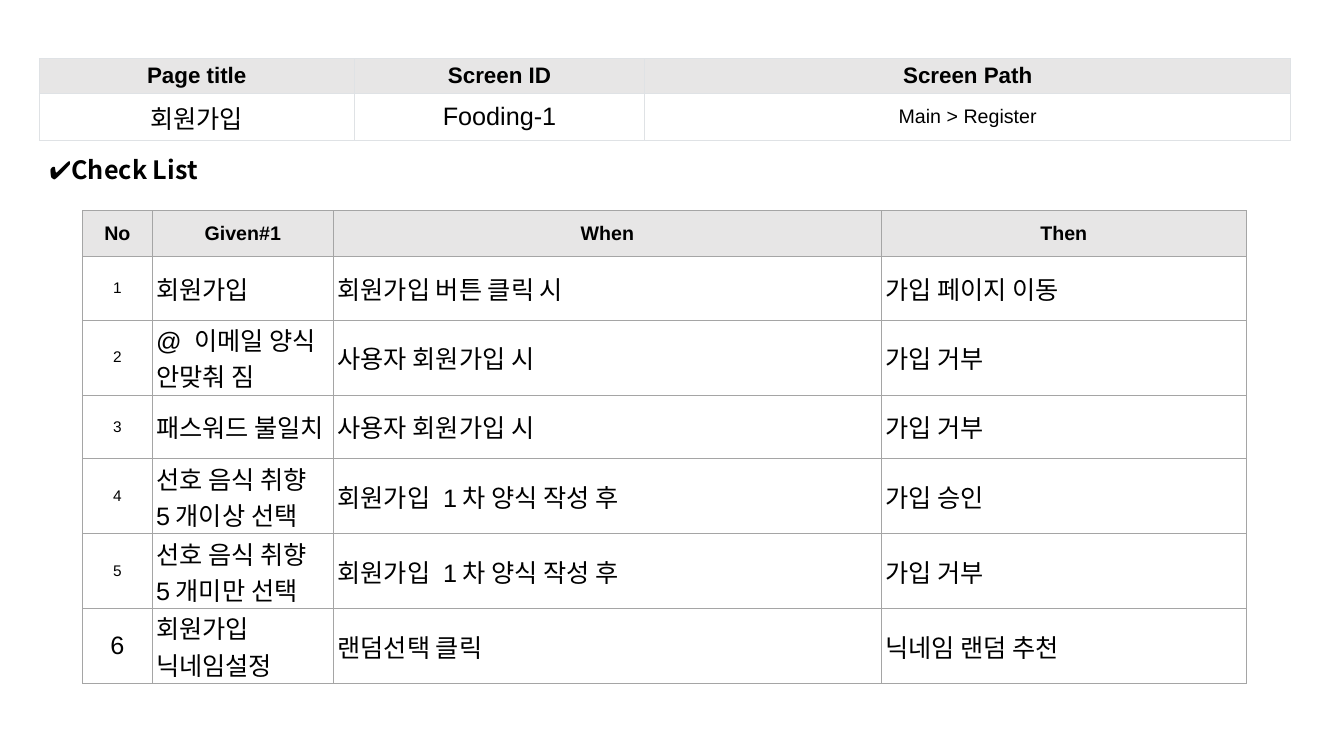
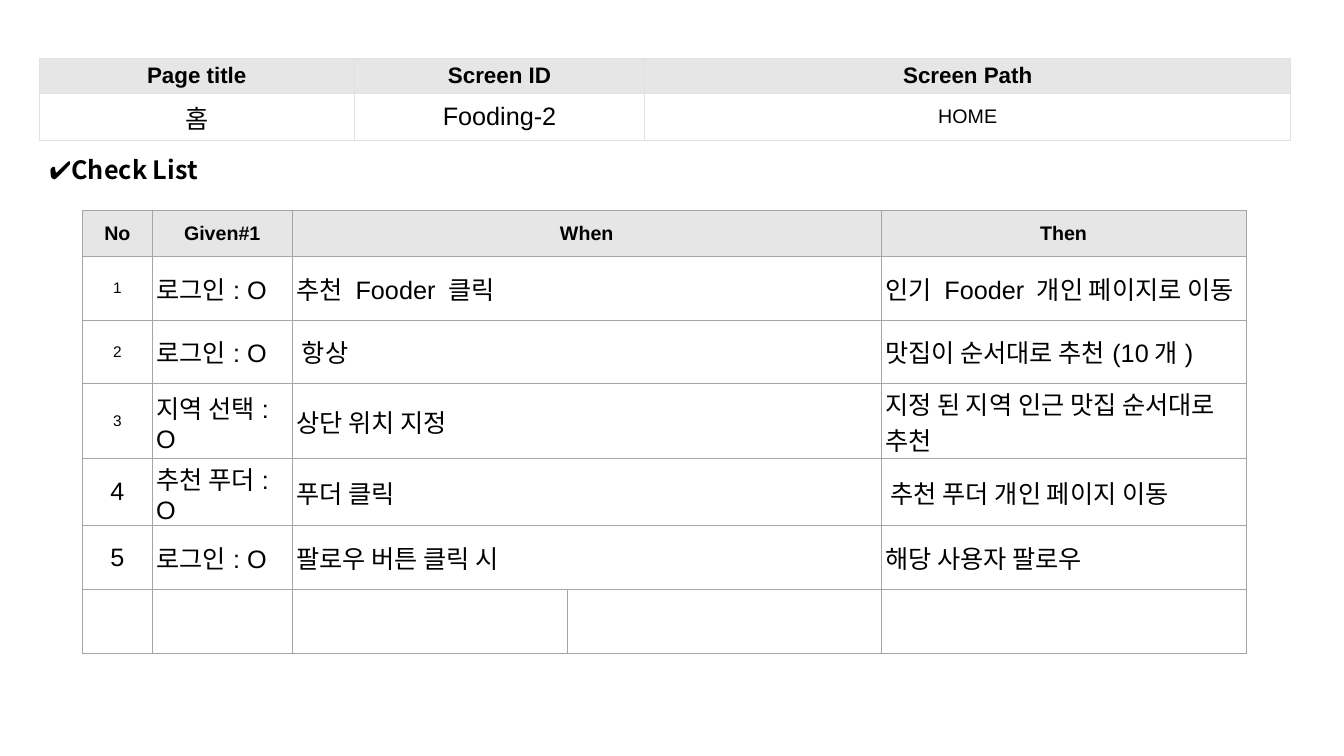
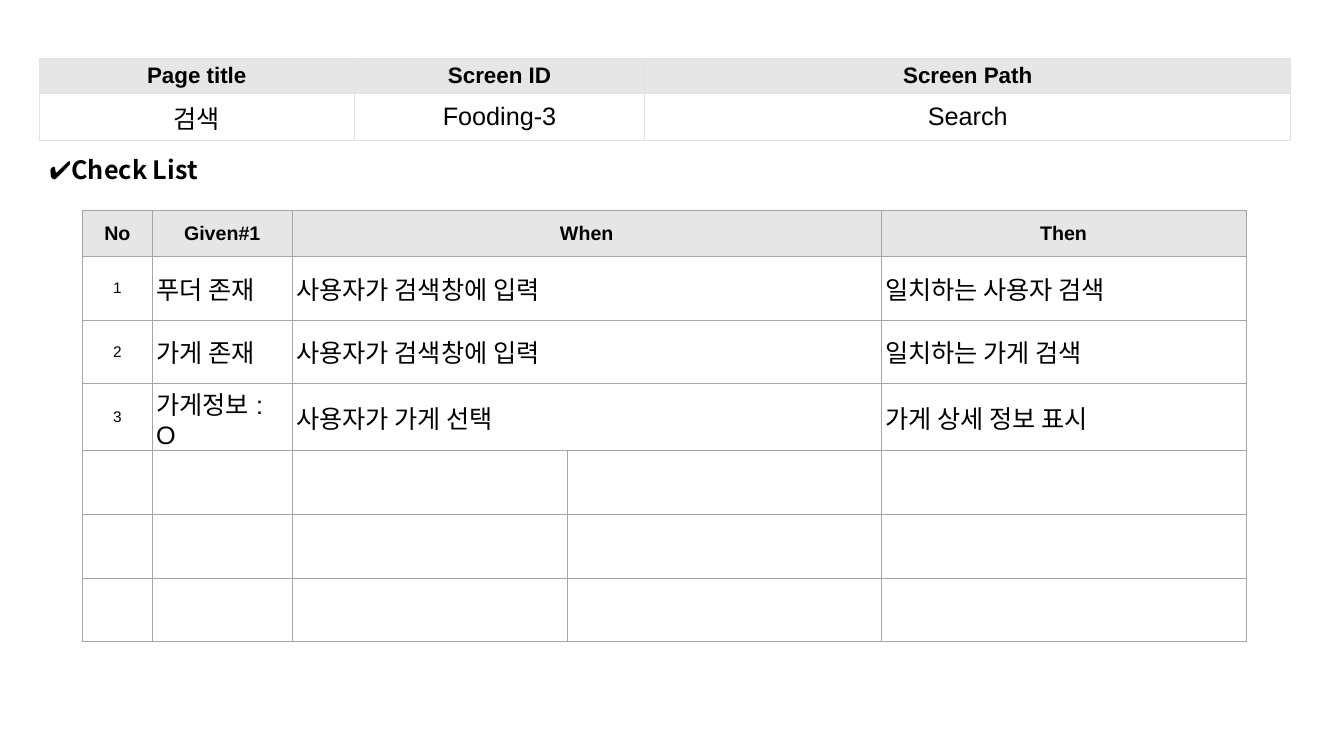
from lxml.etree import SubElement
from pptx import Presentation
from pptx.dml.color import RGBColor
from pptx.enum.text import MSO_ANCHOR, MSO_AUTO_SIZE, PP_ALIGN
from pptx.oxml.ns import qn
from pptx.util import Inches, Pt

COLORS = {
    "text": "000000",
    "header": "E7E6E6",
    "cell": "FFFFFF",
    "page_border": "DFE2E5",
    "check_border": "A5A5A5",
}
LATIN, KOREAN = "Arial", "Noto Sans CJK KR"
WIDTH, HEIGHT = Inches(13.33), Inches(7.5)

PAGE_BOX = (2.93, 7.73, 93.1, 9.33)
TITLE_BOX = (2.93, 19.73, 13.88, 5.33)
CHECK_BOX = (6.15, 27.87, 86.57, 56.67)

PAGE_COLS = (3.12, 2.88, 6.4)
FOUR_COLS = (0.69, 1.8, 5.44, 3.62)
FIVE_COLS = (0.69, 1.39, 2.73, 3.11, 3.62)
CHECK_ROWS = (0.45,) + (0.63,) * 6

PAGE_HEADS = ("Page title", "Screen ID", "Screen Path")
CHECK_HEADS = ("No", "Given#1", "When", "Then")

SCREENS = [
    {
        "page": ("회원가입", "Fooding-1", "Main > Register"),
        "path_size": 14,
        "cols": FOUR_COLS,
        "small_numbers": 5,
        "checks": [
            ("회원가입", "회원가입 버튼 클릭 시", "가입 페이지 이동"),
            ("@ 이메일 양식 안맞춰 짐", "사용자 회원가입 시", "가입 거부"),
            ("패스워드 불일치", "사용자 회원가입 시", "가입 거부"),
            ("선호 음식 취향 5개이상 선택", "회원가입 1차 양식 작성 후", "가입 승인"),
            ("선호 음식 취향 5개미만 선택", "회원가입 1차 양식 작성 후", "가입 거부"),
            ("회원가입 닉네임설정", "랜덤선택 클릭", "닉네임 랜덤 추천"),
        ],
    },
    {
        "page": ("홈", "Fooding-2", "HOME"),
        "path_size": 14,
        "cols": FIVE_COLS,
        "small_numbers": 3,
        "checks": [
            ("로그인: O", "추천 Fooder 클릭", "인기 Fooder 개인 페이지로 이동"),
            ("로그인: O", " 항상", "맛집이 순서대로 추천(10개)"),
            ("지역 선택: O", "상단 위치 지정", "지정 된 지역 인근 맛집 순서대로 추천"),
            ("추천 푸더: O", "푸더 클릭", " 추천 푸더 개인 페이지 이동"),
            ("로그인: O", "팔로우 버튼 클릭 시", "해당 사용자 팔로우"),
        ],
    },
    {
        "page": ("검색", "Fooding-3", "Search"),
        "path_size": 18,
        "cols": FIVE_COLS,
        "small_numbers": 3,
        "checks": [
            ("푸더 존재", "사용자가 검색창에 입력", "일치하는 사용자 검색"),
            ("가게 존재", "사용자가 검색창에 입력", "일치하는 가게 검색"),
            ("가게정보: O", "사용자가 가게 선택", "가게 상세 정보 표시"),
        ],
    },
]


def place(box):
    x, y, w, h = box
    return [int(size * share / 100) for size, share in
            ((WIDTH, x), (HEIGHT, y), (WIDTH, w), (HEIGHT, h))]


def write(tf, text, size=18, bold=False, align=PP_ALIGN.LEFT, font=LATIN):
    p = tf.paragraphs[0]
    p.alignment = align
    r = p.add_run()
    r.text = text
    r.font.size = Pt(size)
    r.font.bold = bold
    r.font.name = font
    r.font.color.rgb = RGBColor.from_string(COLORS["text"])
    SubElement(r.font._element, qn("a:ea"), typeface=KOREAN)


def style_cell(cell, fill, border, margins):
    cell.fill.solid()
    cell.fill.fore_color.rgb = RGBColor.from_string(COLORS[fill])
    cell.vertical_anchor = MSO_ANCHOR.MIDDLE
    cell.margin_left = cell.margin_right = Inches(margins[0])
    cell.margin_top = cell.margin_bottom = Inches(margins[1])
    tcPr = cell._tc.get_or_add_tcPr()
    for i, side in enumerate(("a:lnL", "a:lnR", "a:lnT", "a:lnB")):
        ln = SubElement(tcPr, qn(side), w=str(Pt(0.75)))
        SubElement(SubElement(ln, qn("a:solidFill")), qn("a:srgbClr"), val=COLORS[border])
        tcPr.insert(i, ln)


def add_grid(slide, box, cols, rows, border, head_margins, margins):
    x, y, w, h = place(box)
    table = slide.shapes.add_table(len(rows), len(cols), x, y, w, h).table
    table.first_row = table.horz_banding = False
    for col, share in zip(table.columns, cols):
        col.width = int(w * share / sum(cols))
    for i, (row, share) in enumerate(zip(table.rows, rows)):
        row.height = int(h * share / sum(rows))
        for cell in row.cells:
            if i == 0:
                style_cell(cell, "header", border, head_margins)
            else:
                style_cell(cell, "cell", border, margins)
    return table


def add_page_table(slide, box, page, path_size):
    margins = (0.11, 0.05)
    table = add_grid(slide, box, PAGE_COLS, (1, 1), "page_border", margins, margins)
    for c, (head, value, size) in enumerate(zip(PAGE_HEADS, page, (18, 18, path_size))):
        write(table.cell(0, c).text_frame, head, size=16, bold=True, align=PP_ALIGN.CENTER)
        write(table.cell(1, c).text_frame, value, size=size, align=PP_ALIGN.CENTER)


def add_title(slide, box, text):
    sp = slide.shapes.title
    sp.left, sp.top, sp.width, sp.height = place(box)
    tf = sp.text_frame
    tf.word_wrap = True
    tf.auto_size = MSO_AUTO_SIZE.NONE
    tf.vertical_anchor = MSO_ANCHOR.TOP
    write(tf, text, bold=True, font=KOREAN)


def add_check_table(slide, box, cols, checks, small_numbers):
    table = add_grid(slide, box, cols, CHECK_ROWS, "check_border", (0.04, 0.02), (0.04, 0.01))
    last = len(cols) - 1
    places = (0, 1, 2, last)
    if last > 3:
        for r in range(len(checks) + 1):
            table.cell(r, 2).merge(table.cell(r, last - 1))
    for c, head in zip(places, CHECK_HEADS):
        write(table.cell(0, c).text_frame, head, size=14, bold=True, align=PP_ALIGN.CENTER)
    for r, check in enumerate(checks, 1):
        size = 11 if r <= small_numbers else 18
        write(table.cell(r, 0).text_frame, str(r), size=size, align=PP_ALIGN.CENTER)
        for c, text in zip(places[1:], check):
            write(table.cell(r, c).text_frame, text)


def add_screen(prs, screen):
    slide = prs.slides.add_slide(prs.slide_layouts[5])
    add_check_table(slide, CHECK_BOX, screen["cols"], screen["checks"], screen["small_numbers"])
    add_page_table(slide, PAGE_BOX, screen["page"], screen["path_size"])
    add_title(slide, TITLE_BOX, "✔Check List")


prs = Presentation()
prs.slide_width, prs.slide_height = WIDTH, HEIGHT
for screen in SCREENS:
    add_screen(prs, screen)
prs.save("out.pptx")
